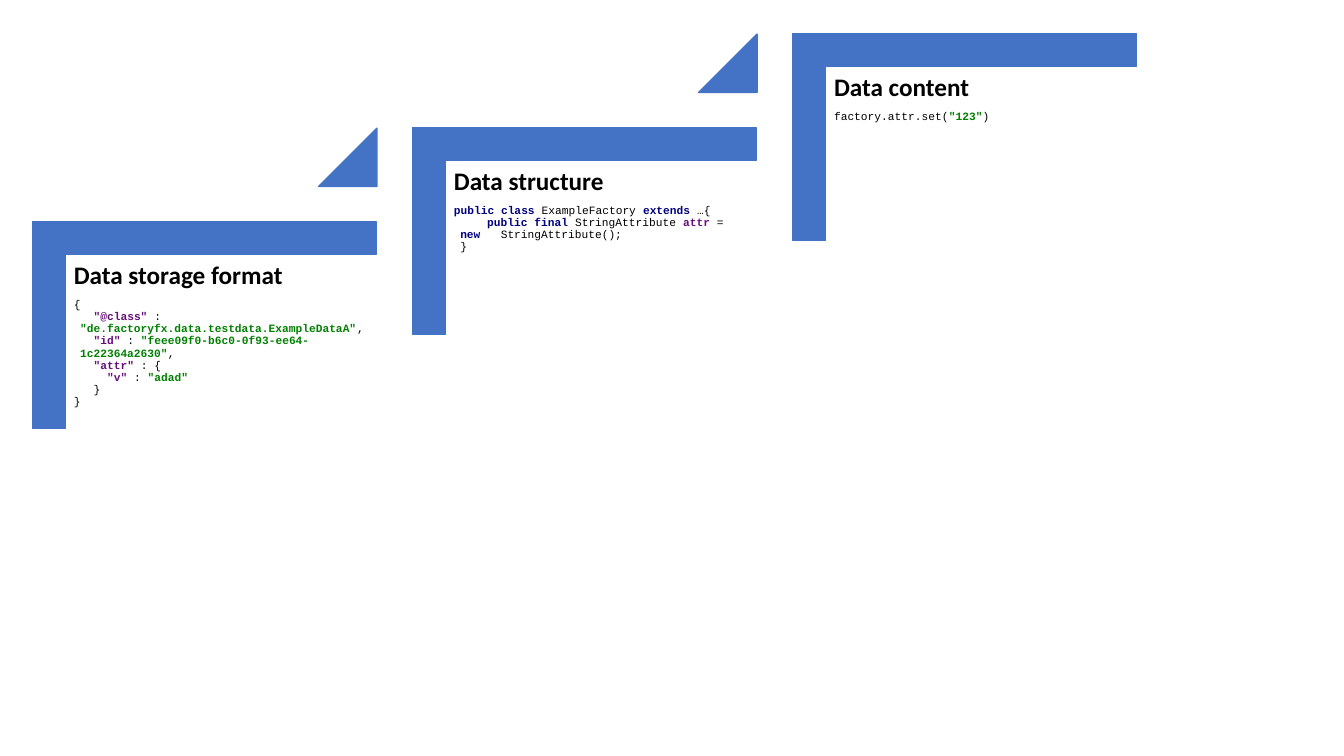
from pptx import Presentation
from pptx.dml.color import RGBColor
from pptx.enum.shapes import MSO_SHAPE
from pptx.util import Cm, Pt

CORNER = MSO_SHAPE.CORNER
TRIANGLE = MSO_SHAPE.ISOSCELES_TRIANGLE

COLORS = {"step": "4472C4", "plain": "000000", "key": "660E7A",
          "string": "008000", "keyword": "000080"}

STEP_X, STEP_Y = 9.58, -2.37   # offset from one step to the next, cm
HANG = 0.16                    # margin of wrapped code, cm
CHAR = 0.17                    # width of one code character, cm

# Each step: title and code lines; a line is (indent in characters, runs),
# where an indent of None starts at the left edge of the text.
STEPS = [
    ("Data storage format", [
        (None, [("{", "plain")]),
        (2, [('"@class" ', "key"), (": ", "plain"),
             ('"de.factoryfx.data.testdata.ExampleDataA"', "string"), (",", "plain")]),
        (2, [('"id" ', "key"), (": ", "plain"),
             ('"feee09f0-b6c0-0f93-ee64-1c22364a2630"', "string"), (",", "plain")]),
        (2, [('"attr" ', "key"), (": {", "plain")]),
        (4, [('"v" ', "key"), (": ", "plain"), ('"adad"', "string")]),
        (2, [("}", "plain")]),
        (None, [("}", "plain")]),
    ]),
    ("Data structure", [
        (None, [("public class ", "keyword"), ("ExampleFactory ", "plain"),
                ("extends ", "keyword"), ("…{", "plain")]),
        (4, [("public final ", "keyword"), ("StringAttribute ", "plain"),
             ("attr ", "key"), ("= ", "plain"), ("new   ", "keyword"),
             ("StringAttribute();", "plain")]),
        (0, [("}", "plain")]),
    ]),
    ("Data content", [
        (None, [("factory.attr.set(", "plain"), ('"123"', "string"), (")", "plain")]),
    ]),
]


def add_step_shape(kind, x, y, w, h):
    """Add a preset shape in the step colour and return it."""
    s = slide.shapes.add_shape(kind, Cm(x), Cm(y), Cm(w), Cm(h))
    s.shadow.inherit = False
    s.fill.solid()
    for fmt in (s.fill.fore_color, s.line.color):
        fmt.rgb = RGBColor.from_string(COLORS["step"])
    s.line.width = Pt(1)
    return s


def add_run(p, text, color, **font):
    """Add a coloured run with the given font values to a paragraph."""
    r = p.add_run()
    r.text = text
    r.font.color.rgb = RGBColor.from_string(COLORS[color])
    for name, value in font.items():
        setattr(r.font, name, value)


prs = Presentation()
prs.slide_width, prs.slide_height = Cm(33.87), Cm(19.05)
slide = prs.slides.add_slide(prs.slide_layouts[6])

for i, (title, code) in enumerate(STEPS):
    dx, dy = i * STEP_X, i * STEP_Y

    corner = add_step_shape(CORNER, 2.54 + dx, 3.86 + dy, 5.21, 8.66)
    corner.rotation = 90
    for n in range(2):
        corner.adjustments[n] = 0.16

    box = slide.shapes.add_textbox(Cm(1.68 + dx), Cm(6.45 + dy), Cm(7.82), Cm(6.86))
    tf = box.text_frame
    tf.word_wrap = True
    for side in ("left", "top", "right", "bottom"):
        setattr(tf, f"margin_{side}", Cm(0.18))

    p = tf.paragraphs[0]
    p.line_spacing = 0.9
    p.space_after = Pt(6.3)
    add_run(p, title, "plain", name="Calibri", size=Pt(18), bold=True)

    for indent, runs in code:
        p = tf.add_paragraph()
        p.line_spacing = 0.9
        first_line = -HANG if indent is None else indent * CHAR
        pPr = p._p.get_or_add_pPr()
        pPr.set("marL", str(Cm(HANG)))
        pPr.set("indent", str(Cm(first_line)))
        for text, color in runs:
            add_run(p, text, color, name="Courier New", size=Pt(8),
                    bold=color != "plain")

    # A triangle leads up to the next step
    if i < len(STEPS) - 1:
        triangle = add_step_shape(TRIANGLE, 8.03 + dx, 3.23 + dy, 1.47, 1.47)
        triangle.adjustments[0] = 1

prs.save("out.pptx")
